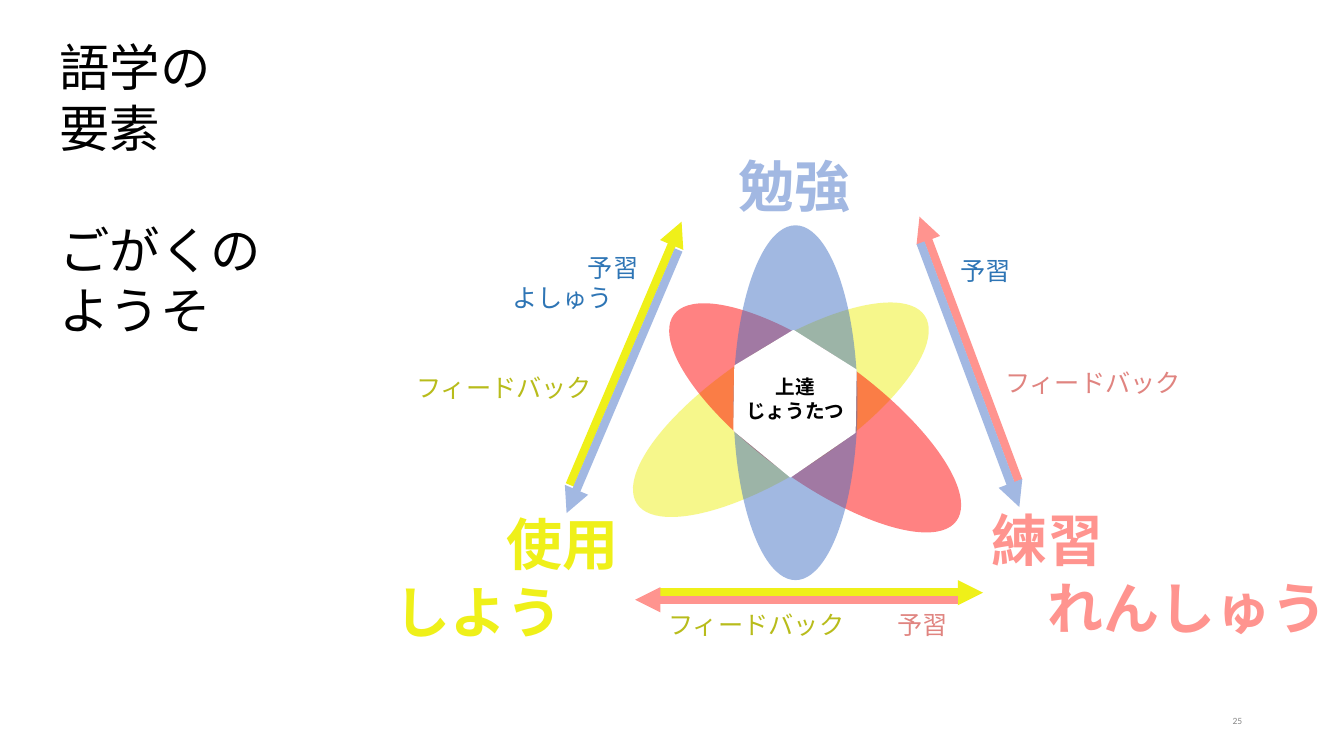
from lxml import etree
from pptx import Presentation, util as u
from pptx.dml.color import RGBColor
from pptx.enum import shapes, text
from pptx.oxml import ns

# The slide is a grid of square cells; every length below counts cells.
CELL = u.Inches(0.1)
YELLOW, PINK, BLUE = "EFF019", "FF948F", "A2B8E2"
OLIVE, ROSE, DEEP_BLUE = "B8BC1B", "E08480", "2E75B5"
WHITE, BLACK, GREY = "FFFFFF", "000000", "888888"
LEFT, CENTER, RIGHT = text.PP_ALIGN.LEFT, text.PP_ALIGN.CENTER, text.PP_ALIGN.RIGHT


def cells(*counts):
    return [round(count * CELL) for count in counts]


def color(code):
    return RGBColor.from_string(code)


def shift(origin, x, y):
    return origin[0] + x, origin[1] + y


def add_text(slide, origin, box, lines, size, ink, bold=False, align=LEFT,
             fill=None, anchor=text.MSO_ANCHOR.TOP, gaps=None):
    """Write lines in a box; gaps maps a line's index to its space before."""
    x, y, width, height = box
    shape = slide.shapes.add_textbox(*cells(*shift(origin, x, y), width, height))
    if fill:
        shape.fill.solid()
        shape.fill.fore_color.rgb = color(fill)
    frame = shape.text_frame
    frame.word_wrap = True
    frame.vertical_anchor = anchor
    frame.text = "\n".join(lines)
    for index, paragraph in enumerate(frame.paragraphs):
        paragraph.alignment = align
        if gaps and index in gaps:
            paragraph.space_before = u.Pt(gaps[index])
        for run in paragraph.runs:
            run.font.name = "Calibri"
            run.font.size = u.Pt(size)
            run.font.bold = bold
            run.font.color.rgb = color(ink)


def add_arrow(slide, origin, start, end, ink):
    connector = slide.shapes.add_connector(
        shapes.MSO_CONNECTOR.STRAIGHT,
        *cells(*shift(origin, *start), *shift(origin, *end)))
    connector.line.width = u.Pt(6)
    connector.line.color.rgb = color(ink)
    etree.SubElement(connector.line._get_or_add_ln(), ns.qn("a:tailEnd"), type="triangle")
    etree.SubElement(connector._element.spPr, ns.qn("a:effectLst"))


def add_petal(slide, origin, box, angle, ink, opacity):
    x, y, width, height = box
    petal = slide.shapes.add_shape(
        shapes.MSO_SHAPE.OVAL, *cells(*shift(origin, x, y), width, height))
    petal.shadow.inherit = False
    petal.rotation = angle
    petal.line.fill.background()
    petal.fill.solid()
    petal.fill.fore_color.rgb = color(ink)
    srgb = petal._element.spPr.find(".//" + ns.qn("a:srgbClr"))
    etree.SubElement(srgb, ns.qn("a:alpha"), val=str(opacity * 1000))


def add_corners(slide, origin):
    for box, lines, ink, align in [
        ((34.5, 0, 13.3, 7.7), ["勉強"], BLUE, LEFT),
        ((0, 35.6, 24.5, 14.5), ["使用", "しよう　"], YELLOW, RIGHT),
        ((59.6, 35.2, 35.8, 14.5), ["練習", "　れんしゅう"], PINK, LEFT),
    ]:
        add_text(slide, origin, box, lines, 40, ink, bold=True, align=align, fill=WHITE)


def add_flower(slide, origin):
    """Three overlapping petals around a white hexagon with the goal."""
    thickness = 12.3
    for x, y, length, angle, ink, opacity in [
        (0, 0.7, 34.1, 326.9, YELLOW, 50),
        (3.1, 1.5, 34.7, 216.1, "FF0000", 49),
        (0.9, 0, 35.2, 270, "4472C4", 50),
    ]:
        add_petal(slide, origin, (x, y, length, thickness), angle, ink, opacity)

    corners = [(18.3, -1), (12.5, 2.5), (12.4, 8.9), (18, 13.5), (24.4, 9.1), (24.5, 2.9)]
    first, *others = [cells(*shift(origin, *corner)) for corner in corners]
    builder = slide.shapes.build_freeform(*first)
    builder.add_line_segments(others, close=True)
    hexagon = builder.convert_to_shape()
    hexagon.shadow.inherit = False
    hexagon.fill.solid()
    hexagon.fill.fore_color.rgb = color(WHITE)
    hexagon.line.color.rgb = color(WHITE)
    hexagon.line.width = u.Pt(1)
    add_text(slide, origin, (12.4, 2.9, 12.2, 5.7), ["上達", "じょうたつ"], 14, BLACK,
             bold=True, align=CENTER)


def add_side(slide, origin, labels, arrows, fill=None):
    """One side of the triangle: its labels and a pair of opposed arrows."""
    for box, lines, ink, align in labels:
        add_text(slide, origin, box, lines, 18, ink, align=align, fill=fill)
    for start, end, ink in arrows:
        add_arrow(slide, origin, start, end, ink)


def add_sides(slide):
    preview, feedback = "予習", "フィードバック"
    add_side(slide, (40.3, 22),
             [((9.4, 2.5, 14.6, 7.1), [preview, "よしゅう　"], DEEP_BLUE, RIGHT),
              ((0, 14.4, 19.7, 4), [feedback], OLIVE, LEFT)],
             [((16.2, 26.1), (27.3, 0), YELLOW), ((27, 2.8), (15.9, 28.9), BLUE)],
             fill=WHITE)
    add_side(slide, (91.2, 21.5),
             [((3.1, 3.3, 7.1, 4), [preview], DEEP_BLUE, LEFT),
              ((7.5, 14.4, 20.3, 4), [feedback], ROSE, LEFT)],
             [((9.8, 26.2), (0, 0), PINK), ((0.1, 2.6), (9.9, 28.8), BLUE)],
             fill=WHITE)
    add_side(slide, (63, 58.8),
             [((2.3, 1.2, 19.7, 4), [feedback], OLIVE, LEFT),
              ((25, 1.2, 7.1, 4), [preview], ROSE, LEFT)],
             [((2.5, 0), (34.5, 0), YELLOW), ((32, 0.7), (0, 0.7), PINK)])


def main():
    presentation = Presentation()
    presentation.slide_width, presentation.slide_height = u.Inches(13.33), u.Inches(7.5)
    slide = presentation.slides.add_slide(presentation.slide_layouts[6])
    add_text(slide, (4.9, 3.1), (0, 0, 22.2, 31.3),
             ["語学の", "要素", "ごがくの", "ようそ"], 36, BLACK, gaps={2: 44})
    add_corners(slide, (37.8, 14.5))
    add_flower(slide, (60.4, 33.8))
    add_sides(slide)
    add_text(slide, (94.2, 69.5), (0, 0, 30, 4), ["25"], 6.8, GREY, align=RIGHT,
             anchor=text.MSO_ANCHOR.MIDDLE)
    presentation.save("out.pptx")


if __name__ == "__main__":
    main()
